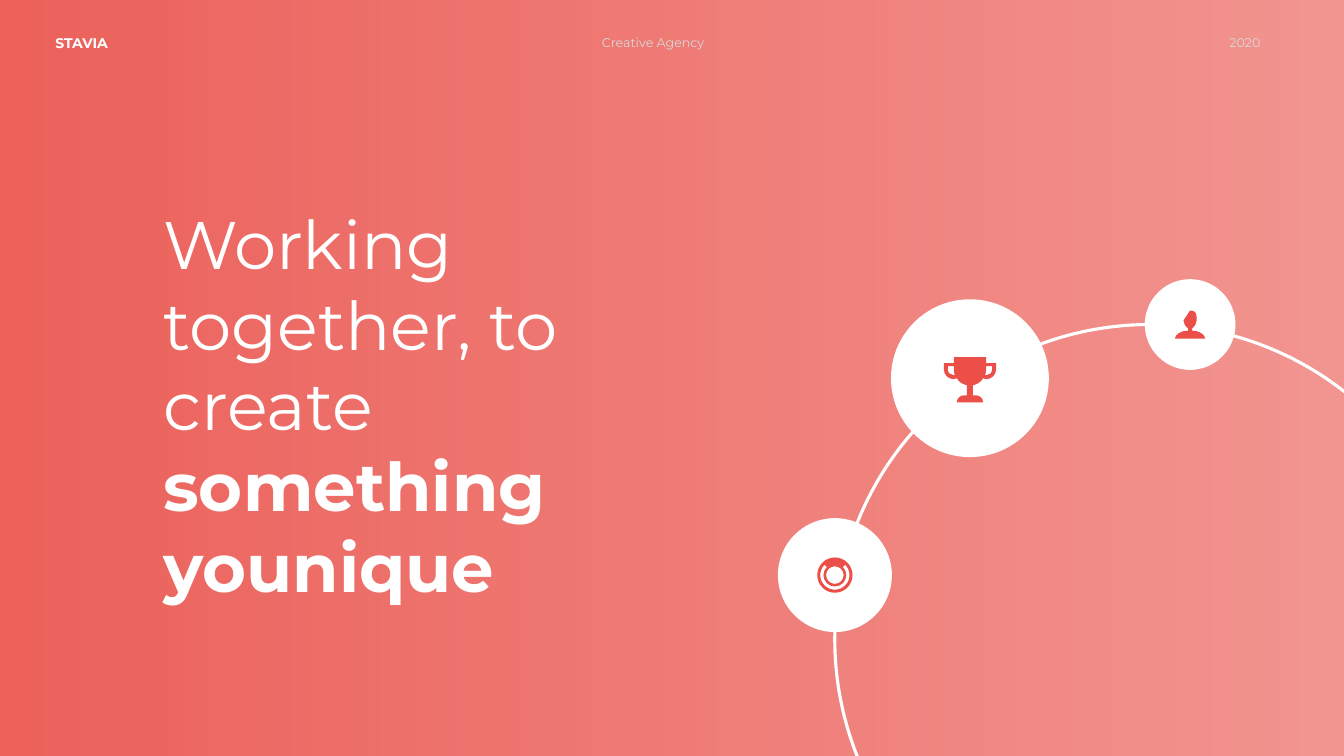
from dataclasses import dataclass
from math import ceil, cos, radians, sin, tan

from lxml.etree import SubElement
from pptx import Presentation
from pptx.dml.color import RGBColor
from pptx.enum.shapes import MSO_SHAPE
from pptx.enum.text import MSO_ANCHOR, MSO_AUTO_SIZE, PP_ALIGN
from pptx.oxml.ns import qn
from pptx.util import Inches, Pt


@dataclass(frozen=True)
class Theme:
    font: str = "Montserrat"
    coral: str = "EB4F48"
    white: str = "FFFFFF"
    grey: str = "D9D9D9"
    headline_size: int = 48
    brand_size: int = 10
    label_size: int = 9
    orbit_line: float = 2.25


THEME = Theme()
WIDTH, HEIGHT = Inches(13.33), Inches(7.5)

HEADLINE = [("Working together, to create ", False), ("something younique", True)]
HEADLINE_BOX = (11.4, 26.1, 36.23, 55.2)
HEADER = [
    ("STAVIA", (3.38, 3.9, 8.03, 3.6),
     dict(size=THEME.brand_size, color=THEME.white, align=PP_ALIGN.LEFT), True),
    ("Creative Agency", (44.04, 4, 11.85, 3.33),
     dict(size=THEME.label_size, color=THEME.grey, align=PP_ALIGN.LEFT), False),
    ("2020", (82.67, 4, 11.85, 3.33),
     dict(size=THEME.label_size, color=THEME.grey, align=PP_ALIGN.RIGHT), False),
]
BACKDROP_STOPS = [(0, 90), (1, 60)]
ORBIT = (85.56, 84.6, 46.89)
DISCS = {
    "ring": (62.12, 76.07, 8.48),
    "trophy": (72.17, 50.03, 11.75),
    "person": (88.55, 42.93, 6.75),
}

PERSON_HALF = [
    (0, -14), (6.5, -14, 6.5, -10, 6.5, -4), (6.5, -1, 4.5, 2, 2, 4),
    (2, 6), (9, 6, 15, 10, 15, 14), (0, 14),
]
TROPHY_HALF = [
    (0, -21), (16, -21), (16, -15), (26, -15), (26, -9),
    (26, -3, 21, 1, 16, 1), (15, 1, 14, 1, 13, 0), (11, 4, 7, 6, 3, 7),
    (3, 17), (6, 17), (10, 17, 13, 20, 13, 24), (0, 24),
]
TROPHY_HANDLE = [
    (16, -12), (22, -12), (22, -9), (22, -5, 19, -3, 16, -3), (15, -3),
    (16, -5, 16, -7, 16, -9),
]


def across(share):
    return round(WIDTH * share / 100)


def down(share):
    return round(HEIGHT * share / 100)


def place(box):
    left, top, width, height = box
    return across(left), down(top), across(width), down(height)


def pairs(step):
    return list(zip(step[::2], step[1::2]))


def mirror(steps):
    end_x, end_y = steps[-1][-2:]
    result = [(-end_x, end_y)]
    for previous, step in reversed(list(zip(steps, steps[1:]))):
        points = [previous[-2:]] + pairs(step[:-2])
        result.append(tuple(value for x, y in reversed(points) for value in (-x, y)))
    return result


def symmetric(half):
    return half + mirror(half)[1:-1] + [half[0]]


def arc(radius, start=0, end=360):
    count = ceil(abs(end - start) / 90)
    turn = radians(end - start) / count
    reach = 4 / 3 * tan(turn / 4)
    angle = radians(start)
    steps = [(radius * cos(angle), radius * sin(angle))]
    for _ in range(count):
        following = angle + turn
        steps.append(tuple(radius * value for value in (
            cos(angle) - reach * sin(angle), sin(angle) + reach * cos(angle),
            cos(following) + reach * sin(following), sin(following) - reach * cos(following),
            cos(following), sin(following))))
        angle = following
    return steps


def style_text(shape, runs, *, size, color, align):
    frame = shape.text_frame
    frame.word_wrap = True
    frame.auto_size = MSO_AUTO_SIZE.SHAPE_TO_FIT_TEXT
    frame.vertical_anchor = MSO_ANCHOR.TOP
    paragraph = frame.paragraphs[0]
    paragraph.alignment = align
    paragraph.line_spacing = 1.0
    for text, bold in runs:
        run = paragraph.add_run()
        run.text = text
        run.font.name = THEME.font
        run.font.size = Pt(size)
        run.font.bold = bold
        run.font.color.rgb = RGBColor.from_string(color)


def paint(shape, color):
    shape.shadow.inherit = False
    shape.fill.solid()
    shape.fill.fore_color.rgb = RGBColor.from_string(color)
    shape.line.fill.background()


def add_circle(slide, center_x, center_y, diameter):
    size = across(diameter)
    circle = slide.shapes.add_shape(
        MSO_SHAPE.OVAL, across(center_x) - size // 2, down(center_y) - size // 2, size, size)
    paint(circle, THEME.white)
    return circle


def add_icon(slide, center_x, center_y, outlines):
    def locate(point):
        return (across(center_x) + Inches(point[0] / 100),
                down(center_y) + Inches(point[1] / 100))

    builder = slide.shapes.build_freeform(*locate(outlines[0][0]), scale=1.0)
    for index, outline in enumerate(outlines):
        if index:
            builder.move_to(*locate(outline[0]))
        builder.add_line_segments([locate(step[-2:]) for step in outline[1:]], close=True)
    icon = builder.convert_to_shape()
    paint(icon, THEME.coral)

    segments = list(icon.element.iter(qn("a:lnTo")))
    steps = [step for outline in outlines for step in outline[1:]]
    for segment, step in zip(segments, steps):
        if len(step) == 6:
            segment.tag = qn("a:cubicBezTo")
            for position, control in enumerate(pairs(step[:-2])):
                x, y = locate(control)
                point = SubElement(segment, qn("a:pt"))
                point.set("x", str(x - icon.left))
                point.set("y", str(y - icon.top))
                segment.insert(position, point)


def add_backdrop(slide):
    backdrop = slide.shapes.add_shape(MSO_SHAPE.RECTANGLE, 0, 0, WIDTH, HEIGHT)
    backdrop.shadow.inherit = False
    backdrop.line.fill.background()
    backdrop.fill.gradient()
    backdrop.fill.gradient_angle = 0
    for stop, (position, _) in zip(backdrop.fill.gradient_stops, BACKDROP_STOPS):
        stop.position = position
        stop.color.rgb = RGBColor.from_string(THEME.coral)
    colors = backdrop.element.spPr.iter(qn("a:srgbClr"))
    for color, (_, opacity) in zip(colors, BACKDROP_STOPS):
        SubElement(color, qn("a:alpha")).set("val", str(opacity * 1000))
    slide.shapes.title.element.addprevious(backdrop.element)


def main():
    presentation = Presentation()
    presentation.slide_width, presentation.slide_height = WIDTH, HEIGHT
    slide = presentation.slides.add_slide(presentation.slide_layouts[5])
    add_backdrop(slide)

    title = slide.shapes.title
    title.left, title.top, title.width, title.height = place(HEADLINE_BOX)
    style_text(title, HEADLINE, size=THEME.headline_size, color=THEME.white,
               align=PP_ALIGN.LEFT)
    for text, box, text_format, bold in HEADER:
        style_text(slide.shapes.add_textbox(*place(box)), [(text, bold)], **text_format)

    orbit = add_circle(slide, *ORBIT)
    orbit.fill.background()
    orbit.line.color.rgb = RGBColor.from_string(THEME.white)
    orbit.line.width = Pt(THEME.orbit_line)

    icons = {
        "ring": [arc(17.5), arc(8.7), arc(14.5, -45, 225) + arc(11.3, 225, -45)],
        "trophy": [symmetric(TROPHY_HALF), TROPHY_HANDLE, mirror(TROPHY_HANDLE)],
        "person": [symmetric(PERSON_HALF)],
    }
    for disc in DISCS.values():
        add_circle(slide, *disc)
    for name, (center_x, center_y, _) in DISCS.items():
        add_icon(slide, center_x, center_y, icons[name])

    presentation.save("out.pptx")


if __name__ == "__main__":
    main()
